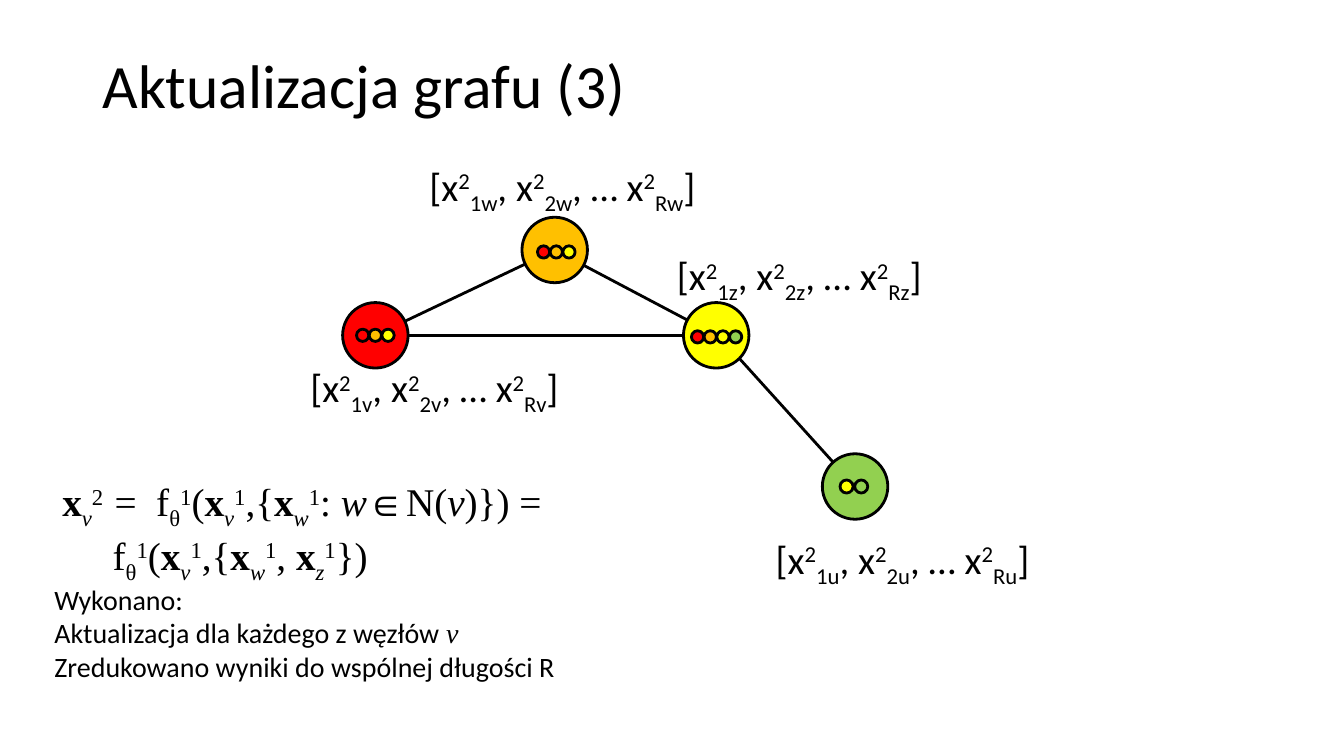
from math import cos, radians, sin

from lxml.etree import SubElement
from pptx import Presentation
from pptx.dml.color import RGBColor
from pptx.enum.shapes import MSO_CONNECTOR, MSO_SHAPE
from pptx.enum.text import MSO_ANCHOR, MSO_AUTO_SIZE, PP_ALIGN
from pptx.oxml.ns import qn
from pptx.util import Cm, Pt

COLORS = {"black": "000000", "red": "FF0000", "orange": "FFC000",
          "yellow": "FFFF00", "green": "92D050"}
SANS, SERIF = "Calibri", "Times New Roman"
BASELINES = {"^": "30000", "_": "-25000"}
NODE_SIZE = 1.65

# node: centre x, centre y, colour
NODES = {
    "u": (21.55, 12.26, "green"),
    "v": (9.46, 8.45, "red"),
    "w": (13.98, 6.3, "orange"),
    "z": (18.05, 8.45, "yellow"),
}
# node, angle on its rim (None for the centre), for both ends
EDGES = [
    ("w", None, "v", None),
    ("w", None, "z", None),
    ("z", 180, "v", 0),
    ("z", 45, "u", None),
]
# centre x, centre y, dot size, step, colours
DOT_ROWS = [
    (9.46, 8.45, 0.31, 0.32, ["red", "orange", "yellow"]),
    (14.02, 6.35, 0.31, 0.32, ["red", "orange", "yellow"]),
    (18.06, 8.49, 0.31, 0.32, ["red", "orange", "yellow", "green"]),
    (21.52, 12.26, 0.33, 0.37, ["yellow", "green"]),
]
# node: left, top, width of its label
LABELS = {
    "v": (7.57, 9.04, 7.14),
    "w": (10.57, 3.96, 7.65),
    "z": (16.81, 6.22, 7.14),
    "u": (19.3, 13.36, 7.39),
}


def color(name):
    return RGBColor.from_string(COLORS[name])


def add_run(paragraph, text, size, font=SANS, style=""):
    """Style letters: b bold, i italic, ^ superscript, _ subscript."""
    run = paragraph.add_run()
    run.text = text
    run.font.name = font
    run.font.size = Pt(size)
    run.font.bold = "b" in style
    run.font.italic = "i" in style
    run.font.color.rgb = color("black")
    for mark, baseline in BASELINES.items():
        if mark in style:
            run.font._element.set("baseline", baseline)


def add_text(slide, left, top, width, height, lines, size, wrap=False):
    """Each line is a list of (text, font, style) runs."""
    box = slide.shapes.add_textbox(Cm(left), Cm(top), Cm(width), Cm(height))
    frame = box.text_frame
    frame.word_wrap = wrap
    frame.auto_size = MSO_AUTO_SIZE.SHAPE_TO_FIT_TEXT
    for index, runs in enumerate(lines):
        paragraph = frame.add_paragraph() if index else frame.paragraphs[0]
        for text, font, style in runs:
            add_run(paragraph, text, size, font, style)


def add_title(slide, text):
    title = slide.shapes.title
    title.left, title.top, title.width, title.height = Cm(2.33), Cm(1.01), Cm(29.21), Cm(2.46)
    title.text_frame.vertical_anchor = MSO_ANCHOR.MIDDLE
    paragraph = title.text_frame.paragraphs[0]
    paragraph.alignment = PP_ALIGN.LEFT
    paragraph.line_spacing = 0.9
    add_run(paragraph, text, 44)


def add_circle(shapes, x, y, size, fill):
    """Circle centred on x, y."""
    circle = shapes.add_shape(MSO_SHAPE.OVAL, Cm(x - size / 2), Cm(y - size / 2),
                              Cm(size), Cm(size))
    circle.shadow.inherit = False
    circle.fill.solid()
    circle.fill.fore_color.rgb = color(fill)
    circle.line.color.rgb = color("black")
    circle.line.width = Pt(2)


def edge_end(node, angle):
    x, y, _ = NODES[node]
    if angle is None:
        return Cm(x), Cm(y)
    radius = NODE_SIZE / 2
    return Cm(x + radius * cos(radians(angle))), Cm(y + radius * sin(radians(angle)))


def add_edge(slide, start, start_angle, end, end_angle):
    edge = slide.shapes.add_connector(MSO_CONNECTOR.STRAIGHT, *edge_end(start, start_angle),
                                      *edge_end(end, end_angle))
    edge.line.color.rgb = color("black")
    edge.line.width = Pt(2)
    SubElement(edge._element.spPr, qn("a:effectLst"))


def add_dot_row(slide, x, y, size, step, fills):
    group = slide.shapes.add_group_shape()
    first = x - step * (len(fills) - 1) / 2
    for index, fill in enumerate(fills):
        add_circle(group.shapes, first + index * step, y, size, fill)


def add_label(slide, node, left, top, width):
    runs = []
    for prefix, number in (("[x", "1"), (", x", "2"), (", … x", "R")):
        runs += [(prefix, SANS, ""), ("2", SANS, "^"), (number + node, SANS, "_")]
    runs.append(("]", SANS, ""))
    add_text(slide, left, top, width, 1.45, [runs], 28)


def vector(node, step="1", prefix=""):
    return [(prefix + "x", SERIF, "b"), (node, SERIF, "i_"), (step, SERIF, "^")]


def function_call(prefix):
    """Update function applied to node v and the vector of its neighbour w."""
    return [(prefix + "f", SERIF, ""), ("θ", SERIF, "_"), ("1", SERIF, "^"), ("(", SERIF, ""),
            *vector("v"), (",{", SERIF, ""), *vector("w")]


def add_formula(slide):
    general = [*vector("v", "2  "), *function_call("=  "), (": ", SERIF, ""),
               ("w", SERIF, "i"), ("∈N(", SERIF, ""), ("v", SERIF, "i"), (")}) =", SERIF, "")]
    expanded = [*function_call("\t"), (",", SERIF, ""), *vector("z", prefix=" "),
                ("})", SERIF, "")]
    add_text(slide, 1.32, 11.91, 16.94, 2.64, [general, expanded], 28, wrap=True)


def add_summary(slide):
    lines = [
        [("Wykonano:", SANS, "")],
        [("Aktualizacja dla każdego z węzłów ", SANS, ""), ("v", SERIF, "i")],
        [("Zredukowano wyniki do wspólnej długości R", SANS, "")],
    ]
    add_text(slide, 1.12, 14.55, 13.23, 2.82, lines, 20)


def main():
    presentation = Presentation()
    presentation.slide_width, presentation.slide_height = Cm(33.87), Cm(19.05)
    slide = presentation.slides.add_slide(presentation.slide_layouts[5])
    add_title(slide, "Aktualizacja grafu (3)")
    for edge in EDGES:
        add_edge(slide, *edge)
    for x, y, fill in NODES.values():
        add_circle(slide.shapes, x, y, NODE_SIZE, fill)
    for node, place in LABELS.items():
        add_label(slide, node, *place)
    add_summary(slide)
    add_formula(slide)
    for row in DOT_ROWS:
        add_dot_row(slide, *row)
    presentation.save("out.pptx")


if __name__ == "__main__":
    main()
